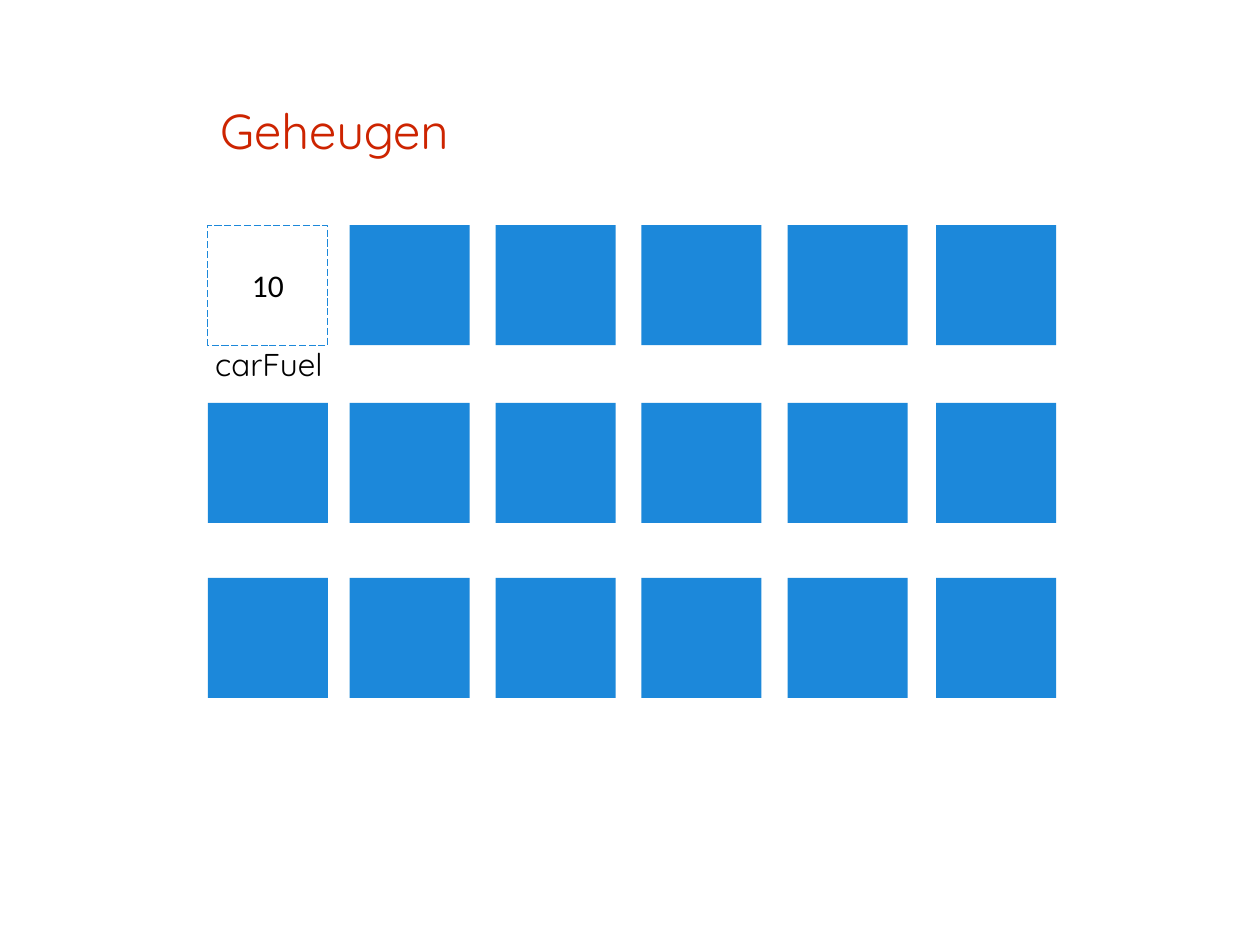
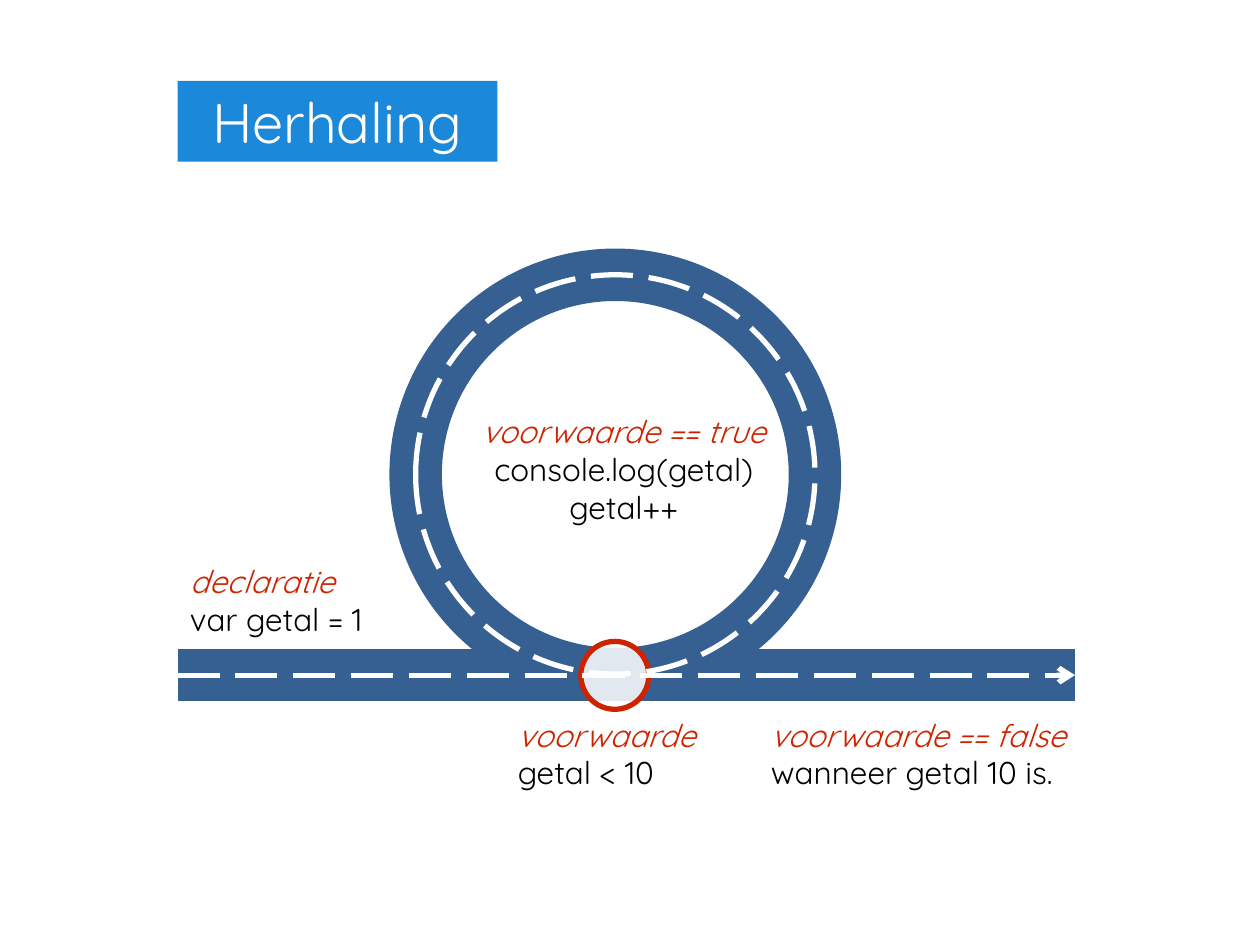
"""Build two slides on memory cells and a loop drawn as a road."""
import dataclasses
import itertools

import lxml.etree
import pptx
import pptx.dml.color
import pptx.enum.dml
import pptx.enum.shapes
import pptx.enum.text
import pptx.oxml.ns
import pptx.util

Cm = pptx.util.Cm
KIND = pptx.enum.shapes.MSO_SHAPE
ALIGN = pptx.enum.text.PP_ALIGN
ANCHOR = pptx.enum.text.MSO_ANCHOR
DASH = pptx.enum.dml.MSO_LINE.LONG_DASH

BLUE, ROAD, RED, WHITE, BLACK = "1C88DA", "376092", "CD2400", "FFFFFF", "000000"
COLS = (4.19, 7.05, 9.99, 12.93, 15.88, 18.87)
ROWS = (4.54, 8.12, 11.65)
CELL = 2.42
LEFT, RIGHT, LANE = 3.58, 21.67, 13.61


@dataclasses.dataclass(frozen=True)
class Box:
    """A place on the slide, in centimetres."""
    x: float
    y: float
    w: float
    h: float

    def lengths(self) -> tuple:
        """Return the four sides as lengths."""
        return tuple(Cm(v) for v in (self.x, self.y, self.w, self.h))


@dataclasses.dataclass(frozen=True)
class Pen:
    """The look of a line."""
    hue: str
    width: float
    dashed: bool = False


@dataclasses.dataclass(frozen=True)
class Row:
    """One line of text and its font."""
    text: str
    hue: str = BLACK
    size: int = 18
    slant: bool = False
    face: str = "Quicksand"


@dataclasses.dataclass(frozen=True)
class Note:
    """A text block that sits beside the road."""
    box: Box
    rows: tuple
    align: int = ALIGN.LEFT


def paint(target, hue: str) -> None:
    """Give a fill a solid colour."""
    target.solid()
    target.fore_color.rgb = pptx.dml.color.RGBColor.from_string(hue)


def add_node(parent, tag: str, **values: str):
    """Append a drawing element to a parent."""
    return lxml.etree.SubElement(parent, pptx.oxml.ns.qn(tag), values)


def stroke(line, pen: Pen) -> None:
    """Set the look of an outline."""
    paint(line.fill, pen.hue)
    look = {"width": pptx.util.Pt(pen.width)}
    if pen.dashed:
        look["dash_style"] = DASH
    for key, value in look.items():
        setattr(line, key, value)


def write(frame, rows: tuple, align: int, **form) -> None:
    """Fill a text frame, one paragraph a row."""
    for key, value in form.items():
        setattr(frame, key, value)
    for i, row in enumerate(rows):
        para = frame.add_paragraph() if i else frame.paragraphs[0]
        para.alignment = align
        run = para.add_run()
        run.text = row.text
        look = {"name": row.face, "size": pptx.util.Pt(row.size),
                "italic": row.slant, "bold": False}
        for key, value in look.items():
            setattr(run.font, key, value)
        paint(run.font.fill, row.hue)


def add_form(slide, kind: int, box: Box, hue: str | None = None,
             pen: Pen | None = None):
    """Draw a preset shape without shadow."""
    shape = slide.shapes.add_shape(kind, *box.lengths())
    shape.shadow.inherit = False
    if hue:
        paint(shape.fill, hue)
    else:
        shape.fill.background()
    if pen:
        stroke(shape.line, pen)
    else:
        shape.line.fill.background()
    return shape


def add_note(slide, note: Note) -> None:
    """Place a text box that grows with its text."""
    frame = slide.shapes.add_textbox(*note.box.lengths()).text_frame
    write(frame, note.rows, note.align, word_wrap=False,
          auto_size=pptx.enum.text.MSO_AUTO_SIZE.SHAPE_TO_FIT_TEXT)


def add_lane(slide, pen: Pen, arrow: bool = False) -> None:
    """Draw the straight road, or its middle line with an arrow."""
    lane = slide.shapes.add_connector(
        pptx.enum.shapes.MSO_CONNECTOR.STRAIGHT,
        Cm(LEFT), Cm(LANE), Cm(RIGHT), Cm(LANE))
    stroke(lane.line, pen)
    if arrow:
        add_node(lane.line._get_or_add_ln(), "a:tailEnd", type="arrow")
    add_node(lane._element.spPr, "a:effectLst")


def draw_cells(slide) -> None:
    """Draw the memory grid with one named cell."""
    for i, (y, x) in enumerate(itertools.product(ROWS, COLS)):
        box = Box(x, y, CELL, CELL)
        if i:
            add_form(slide, KIND.RECTANGLE, box, BLUE)
        else:
            cell = add_form(slide, KIND.RECTANGLE, box, WHITE, Pen(BLUE, 0.5, True))
            write(cell.text_frame, (Row("10", face="Calibri"),), ALIGN.CENTER,
                  vertical_anchor=ANCHOR.MIDDLE)
    add_note(slide, Note(Box(4.19, 1.91, 5.82, 1.45), (Row("Geheugen", RED, 28),)))
    add_note(slide, Note(Box(4.09, 6.83, 2.79, 1.02), (Row("carFuel"),)))


def draw_loop(slide) -> None:
    """Draw the road that turns once before it goes on."""
    ring = Box(8.38, 5.54, 8.05, 8.05)
    base, mark = Pen(ROAD, 30), Pen(WHITE, 3, True)
    add_form(slide, KIND.OVAL, ring, pen=base)
    add_lane(slide, base)

    title = add_form(slide, KIND.RECTANGLE, Box(LEFT, 1.63, 6.45, 1.63), BLUE)
    write(title.text_frame, (Row("Herhaling", WHITE, 32),), ALIGN.CENTER,
          vertical_anchor=ANCHOR.TOP, word_wrap=True,
          auto_size=pptx.enum.text.MSO_AUTO_SIZE.SHAPE_TO_FIT_TEXT)

    notes = (
        (Box(10.19, 14.3, 4.47, 1.8), ALIGN.LEFT, "voorwaarde", "getal < 10"),
        (Box(9.17, 8.18, 6.81, 2.57), ALIGN.CENTER, "voorwaarde == true",
         "console.log(getal)", "getal++"),
        (Box(15.29, 14.3, 7.04, 1.8), ALIGN.LEFT, "voorwaarde == false",
         "wanneer getal 10 is."),
        (Box(LEFT, 11.2, 4.42, 1.8), ALIGN.LEFT, "declaratie", "var getal = 1"),
    )
    for box, align, head, *code in notes:
        rows = (Row(head, RED, slant=True), *map(Row, code))
        add_note(slide, Note(box, rows, align))

    gate = add_form(slide, KIND.OVAL, Box(11.71, 12.93, 1.37, 1.37), WHITE, Pen(RED, 3))
    hue = gate._element.spPr.find(".//" + pptx.oxml.ns.qn("a:srgbClr"))
    add_node(hue, "a:alpha", val="86000")
    add_form(slide, KIND.OVAL, ring, pen=mark)
    add_lane(slide, mark, arrow=True)


def main() -> None:
    """Build and save the deck."""
    deck = pptx.Presentation()
    size = {"slide_width": Cm(25.4), "slide_height": Cm(19.05)}
    for key, value in size.items():
        setattr(deck, key, value)
    for draw in (draw_cells, draw_loop):
        draw(deck.slides.add_slide(deck.slide_layouts[6]))
    deck.save("out.pptx")


if __name__ == "__main__":
    main()
